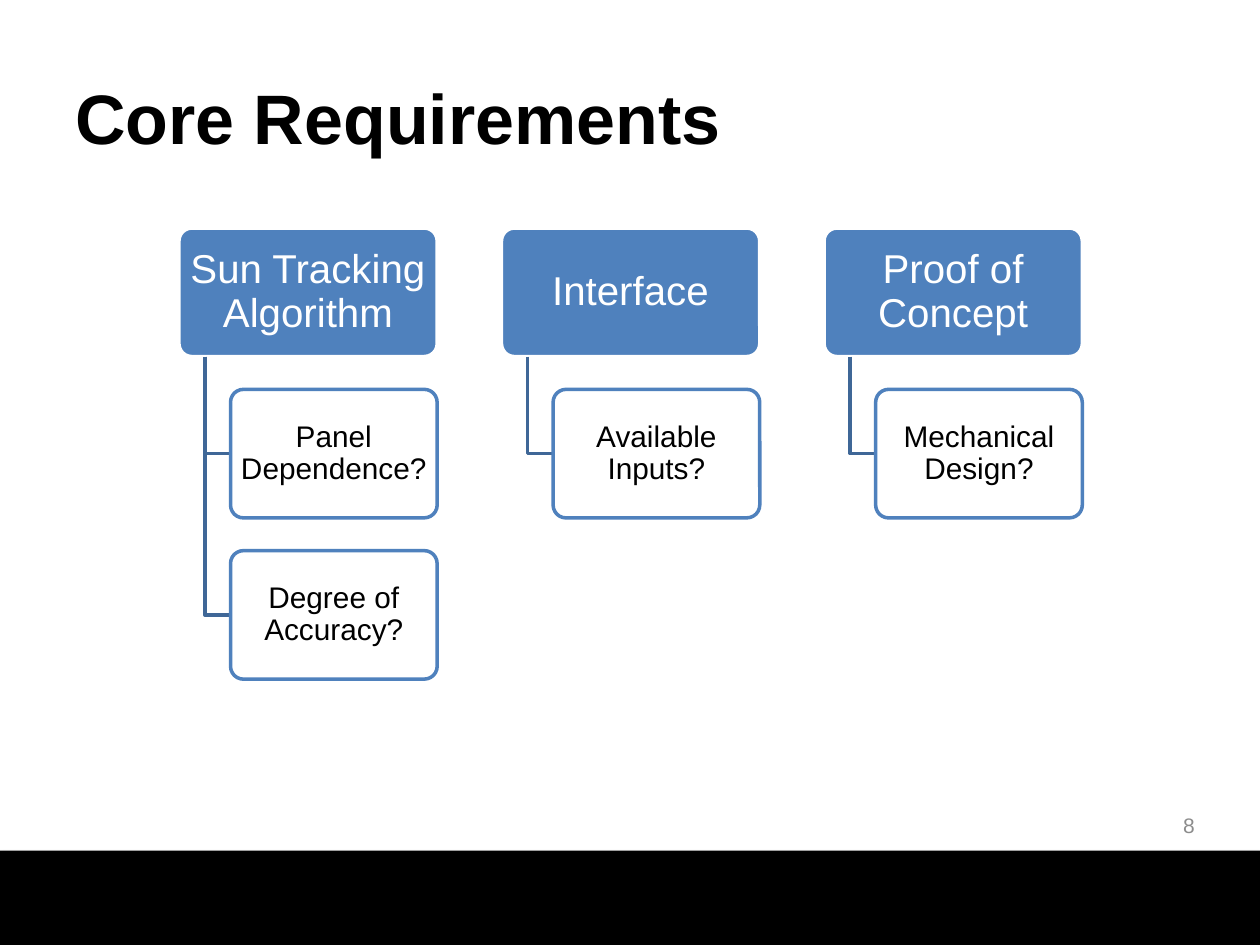
import pptx
import pptx.util
import pptx.dml.color
import pptx.enum.shapes
import pptx.enum.text
import pptx.oxml
import pptx.oxml.ns

Inches, Pt = pptx.util.Inches, pptx.util.Pt
RGBColor = pptx.dml.color.RGBColor
MSO_SHAPE = pptx.enum.shapes.MSO_SHAPE
PP_ALIGN = pptx.enum.text.PP_ALIGN

BLACK = RGBColor(0x00, 0x00, 0x00)
WHITE = RGBColor(0xFF, 0xFF, 0xFF)
GRAY = RGBColor(0x8C, 0x8C, 0x8C)
BLUE = RGBColor(0x4F, 0x81, 0xBD)
DARK_BLUE = RGBColor(0x3F, 0x67, 0x97)

FONT = "Arial"
BOX_H = 1.02
HEAD_W = 2.05
STEP_X = 2.56
STEP_Y = 1.28
INDENT = 0.41

BRANCHES = [
    ("Sun Tracking Algorithm", ["Panel Dependence?", "Degree of Accuracy?"]),
    ("Interface", ["Available Inputs?"]),
    ("Proof of Concept", ["Mechanical Design?"]),
]


def set_text(sp, text, size, color, bold=False, align=PP_ALIGN.LEFT,
             inset=(0.1, 0.05), spacing=1.0):
    tf = sp.text_frame
    tf.word_wrap = True
    tf.vertical_anchor = pptx.enum.text.MSO_ANCHOR.MIDDLE
    tf.margin_left = tf.margin_right = Inches(inset[0])
    tf.margin_top = tf.margin_bottom = Inches(inset[1])
    p = tf.paragraphs[0]
    p.alignment = align
    p.line_spacing = spacing
    r = p.add_run()
    r.text = text
    r.font.name = FONT
    r.font.size = Pt(size)
    r.font.bold = bold
    r.font.color.rgb = color


def add_label(s, box, text, **style):
    sp = s.shapes.add_textbox(*map(Inches, box))
    set_text(sp, text, **style)


def add_footer_band(s, box):
    sp = s.shapes.add_shape(MSO_SHAPE.RECTANGLE, *map(Inches, box))
    sp.fill.solid()
    sp.fill.fore_color.rgb = BLACK
    sp.line.fill.background()
    sp._element.spPr.append(pptx.oxml.parse_xml(
        f'<a:effectLst {pptx.oxml.ns.nsdecls("a")}>'
        f'<a:outerShdw blurRad="{Pt(3.1)}" dist="{Pt(1.8)}" dir="5400000" rotWithShape="0">'
        '<a:srgbClr val="000000"><a:alpha val="35000"/></a:srgbClr>'
        '</a:outerShdw></a:effectLst>'))


def add_node(s, box, text, fill, line, **style):
    sp = s.shapes.add_shape(MSO_SHAPE.ROUNDED_RECTANGLE, *map(Inches, box))
    sp.adjustments[0] = 0.1
    sp.shadow.inherit = False
    sp.fill.solid()
    sp.fill.fore_color.rgb = fill
    sp.line.color.rgb = line
    sp.line.width = Pt(2)
    set_text(sp, text, align=PP_ALIGN.CENTER, spacing=0.9, **style)


def add_elbow(s, x, top, right, bottom):
    """Draw a line down from (x, top) and then across to (right, bottom)."""
    builder = s.shapes.build_freeform(Inches(x), Inches(top))
    builder.add_line_segments([(Inches(x), Inches(bottom)),
                               (Inches(right), Inches(bottom))], close=False)
    sp = builder.convert_to_shape()
    sp.shadow.inherit = False
    sp.fill.background()
    sp.line.color.rgb = DARK_BLUE
    sp.line.width = Pt(2)


def add_branch(s, left, top, heading, questions):
    add_node(s, (left, top, HEAD_W, BOX_H), heading, BLUE, WHITE,
             size=23, color=WHITE, inset=(0.05, 0.03))
    child_left = left + INDENT
    for i, question in enumerate(questions, start=1):
        child_top = top + i * STEP_Y
        add_elbow(s, left + INDENT / 2, top + BOX_H, child_left, child_top + BOX_H / 2)
        add_node(s, (child_left, child_top, HEAD_W - INDENT, BOX_H), question,
                 WHITE, BLUE, size=17, color=BLACK, inset=(0.04, 0.02))


def add_hierarchy(s, left, top):
    for i, (heading, questions) in enumerate(BRANCHES):
        add_branch(s, left + i * STEP_X, top, heading, questions)


def main():
    prs = pptx.Presentation()
    prs.slide_width, prs.slide_height = Inches(10), Inches(7.5)
    s = prs.slides.add_slide(prs.slide_layouts[6])
    add_footer_band(s, (0, 6.75, 10, 0.75))
    add_label(s, (0.5, 0.3, 9, 1.25), "Core Requirements",
              size=40, color=BLACK, bold=True)
    add_label(s, (7.25, 6.35, 2.33, 0.4), "8",
              size=12, color=GRAY, align=PP_ALIGN.RIGHT)
    add_hierarchy(s, 1.42, 1.81)
    prs.save("out.pptx")


if __name__ == "__main__":
    main()
